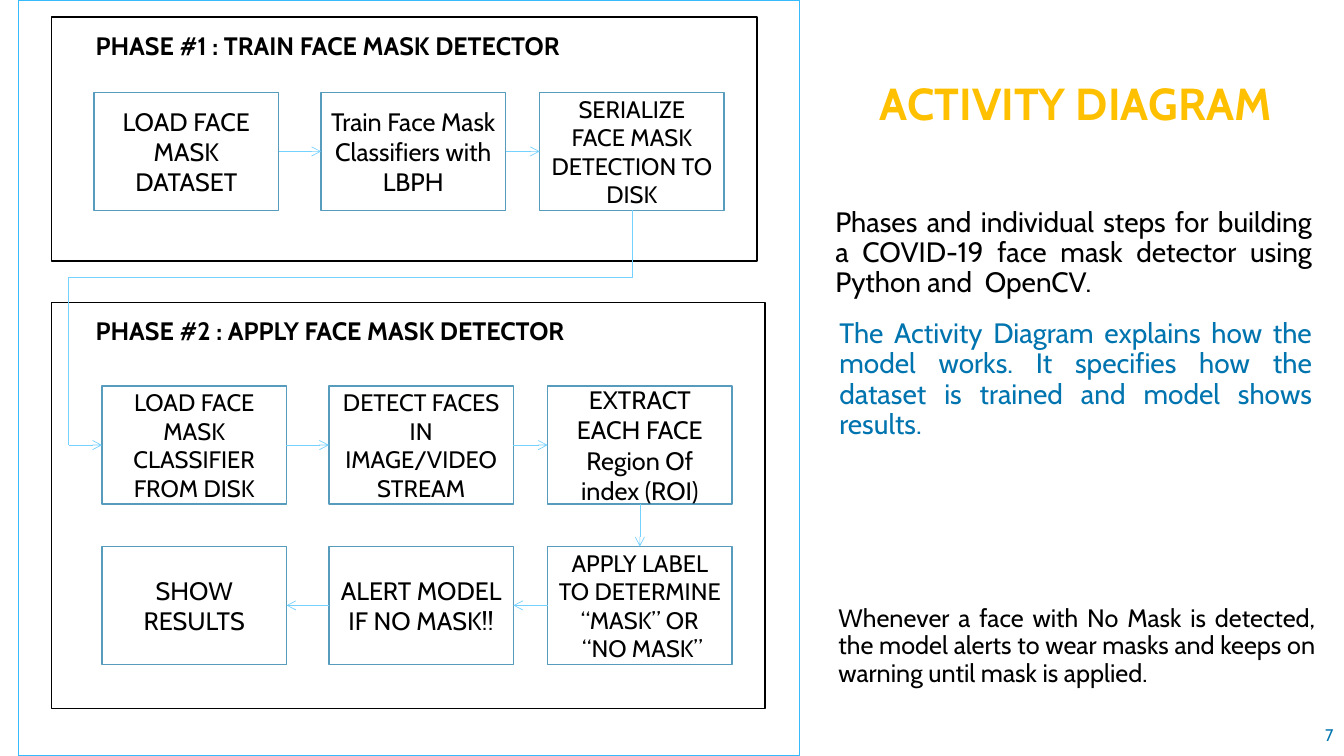
from itertools import pairwise

from pptx import Presentation
from pptx import util as u
from pptx.dml.color import RGBColor
from pptx.enum import shapes, text
from pptx.oxml import ns
from lxml import etree

BLACK = RGBColor(0x00, 0x00, 0x00)
BLUE = RGBColor(0x00, 0x74, 0xAF)
GOLD = RGBColor(0xFF, 0xC0, 0x00)
FRAME_BLUE = RGBColor(0x36, 0xBB, 0xFF)
STEP_BLUE = RGBColor(0x57, 0x9B, 0xBD)
ARROW_BLUE = RGBColor(0x75, 0xD1, 0xFF)
FONT = "Cabin"
STEP_WIDTH, STEP_HEIGHT = 4.65, 2.97
COLUMNS = (0, 5.72, 11.23)
ROW_PITCH = 4.04
TOP, LEFT, BOTTOM, RIGHT = range(4)

TRAIN_STEPS = [[
    ("LOAD FACE MASK DATASET", 18),
    ("Train Face Mask Classifiers with LBPH", 18),
    ("SERIALIZE FACE MASK DETECTION TO DISK", 17),
]]
APPLY_STEPS = [
    [
        ("LOAD FACE MASK CLASSIFIER FROM DISK", 17),
        ("DETECT FACES IN IMAGE/VIDEO STREAM", 17),
        ("EXTRACT EACH FACE Region Of index (ROI)", 18),
    ],
    [
        ("SHOW RESULTS", 18),
        ("ALERT MODEL IF NO MASK!!", 18),
        ("APPLY LABEL TO DETERMINE “MASK” OR\n “NO MASK”", 17),
    ],
]


def write(shape, words, size=18, color=BLACK, bold=False, align=text.PP_ALIGN.LEFT,
          anchor=text.MSO_ANCHOR.TOP, before=0, after=0, spacing=1.0, wrap=True,
          fit=text.MSO_AUTO_SIZE.SHAPE_TO_FIT_TEXT, side=0.25):
    """Fill a shape with one paragraph per line of words."""
    frame = shape.text_frame
    frame.text = words
    frame.word_wrap = wrap
    frame.auto_size = fit
    frame.vertical_anchor = anchor
    frame.margin_left = frame.margin_right = u.Cm(side)
    frame.margin_top = frame.margin_bottom = u.Cm(0.13)
    for para in frame.paragraphs:
        para.alignment = align
        para.line_spacing = spacing
        para.space_before, para.space_after = u.Pt(before), u.Pt(after)
        for span in para.runs:
            span.font.name, span.font.size = FONT, u.Pt(size)
            span.font.bold = bold
            span.font.color.rgb = color


def place(shape, box):
    """Move a placeholder to a box given in centimetres."""
    shape.left, shape.top, shape.width, shape.height = map(u.Cm, box)
    return shape


def add_text(page, box, words, **style):
    """Add a text box."""
    shape = page.shapes.add_textbox(*map(u.Cm, box))
    write(shape, words, **style)


def add_outline(page, box, color):
    """Add an unfilled rectangle."""
    shape = page.shapes.add_shape(shapes.MSO_SHAPE.RECTANGLE, *map(u.Cm, box))
    shape.shadow.inherit = False
    shape.fill.background()
    shape.line.color.rgb = color
    shape.line.width = u.Pt(1)
    return shape


def add_line(page, start, end, arrow=False, kind=shapes.MSO_CONNECTOR.STRAIGHT):
    """Add a thin connector between two points in centimetres."""
    line = page.shapes.add_connector(kind, *map(u.Cm, (*start, *end)))
    line.line.color.rgb = ARROW_BLUE
    line.line.width = u.Pt(0.5)
    if arrow:
        etree.SubElement(line.line._get_or_add_ln(), ns.qn("a:tailEnd"), type="arrow")
    etree.SubElement(line._element.spPr, ns.qn("a:effectLst"))
    return line


def link(page, source, source_side, target, target_side):
    """Join two steps with an arrow."""
    line = add_line(page, (0, 0), (1, 1), arrow=True)
    line.begin_connect(source, source_side)
    line.end_connect(target, target_side)


def add_phase(page, box, caption, rows, inset, drop):
    """Draw a framed phase with its caption and rows of steps."""
    left, top = box[:2]
    add_outline(page, box, BLACK)
    add_text(page, (left + 0.86, top + 0.2, 15.88, 1.02), caption, bold=True)
    grid = []
    for number, row in enumerate(rows):
        steps = []
        for column, (words, size) in zip(COLUMNS, row):
            step = add_outline(page, (left + inset + column, top + drop + number * ROW_PITCH,
                                      STEP_WIDTH, STEP_HEIGHT), STEP_BLUE)
            write(step, words, size=size, align=text.PP_ALIGN.CENTER,
                  anchor=text.MSO_ANCHOR.MIDDLE, fit=text.MSO_AUTO_SIZE.NONE)
            steps.append(step)
        grid.append(steps)
    for number, steps in enumerate(grid):
        if number % 2:
            link(page, grid[number - 1][-1], BOTTOM, steps[-1], TOP)
            for source, target in pairwise(reversed(steps)):
                link(page, source, LEFT, target, RIGHT)
        else:
            for source, target in pairwise(steps):
                link(page, source, RIGHT, target, LEFT)
    return grid


def add_return_route(page, source, target, lane, turn):
    """Lead from the last training step round to the first applying step."""
    start = ((source.left + source.width / 2) / u.Cm(1), (source.top + source.height) / u.Cm(1))
    end = (target.left / u.Cm(1), (target.top + target.height / 2) / u.Cm(1))
    elbow = add_line(page, (lane, turn), start, kind=shapes.MSO_CONNECTOR.ELBOW)
    elbow._element.spPr.find(ns.qn("a:prstGeom")).set("prst", "bentConnector2")
    add_line(page, (lane, turn), (lane, end[1]))
    add_line(page, (lane, end[1]), end, arrow=True)


def add_diagram(page, box):
    """Draw the frame, both phases and the route between them."""
    left, top = box[:2]
    add_outline(page, box, FRAME_BLUE)
    train = add_phase(page, (left + 0.84, top + 0.43, 17.78, 6.15),
                      "PHASE #1 : TRAIN FACE MASK DETECTOR", TRAIN_STEPS, 1.07, 1.9)
    apply = add_phase(page, (left + 0.84, top + 7.62, 17.98, 10.24),
                      "PHASE #2 : APPLY FACE MASK DETECTOR", APPLY_STEPS, 1.27, 2.11)
    add_return_route(page, train[0][-1], apply[0][0], left + 1.27, top + 6.99)


def add_explanation(page, box):
    """Fill the title, the two body texts and the closing remark."""
    left, top, width = box[:3]
    title, phases, purpose = page.placeholders
    write(place(title, (left + 0.05, top + 1.93, width, 1.5)), "ACTIVITY DIAGRAM",
          size=32, color=GOLD, bold=True, align=text.PP_ALIGN.CENTER,
          before=10, spacing=0.9, side=0.41)
    body = {"size": 20, "align": text.PP_ALIGN.JUSTIFY, "spacing": 0.9}
    write(place(phases, (left, top + 5.11, width, 2.57)),
          "Phases and individual steps for building a COVID-19 face mask detector "
          "using Python and  OpenCV.", before=10, **body)
    write(place(purpose, (left + 0.1, top + 7.92, width - 0.1, 3.33)),
          "The Activity Diagram explains how the model works. It specifies how the "
          "dataset is trained and model shows results.", color=BLUE, after=30, **body)
    for shape in (phases, purpose):
        properties = shape.text_frame.paragraphs[0]._p.get_or_add_pPr()
        properties.set("marL", "0")
        properties.set("indent", "0")
        etree.SubElement(properties, ns.qn("a:buNone"))
    add_text(page, (left + 0.08, top + 15.14, width, 2.34),
             "Whenever a face with No Mask is detected, the model alerts to wear masks "
             "and keeps on warning until mask is applied. ",
             before=10, **(body | {"size": 18}))


def main():
    """Build the activity diagram slide."""
    deck = Presentation()
    deck.slide_width, deck.slide_height = u.Cm(33.87), u.Cm(19.05)
    page = deck.slides.add_slide(deck.slide_layouts.get_by_name("Two Content"))
    add_explanation(page, (20.8, 0, 12.52, 19.05))
    add_diagram(page, (0.46, 0, 19.69, 19.05))
    add_text(page, (32.41, 18.01, 1.45, 1.02), "7", size=12, color=BLUE, wrap=False,
             align=text.PP_ALIGN.RIGHT, anchor=text.MSO_ANCHOR.MIDDLE,
             fit=text.MSO_AUTO_SIZE.NONE)
    deck.save("out.pptx")


if __name__ == "__main__":
    main()
